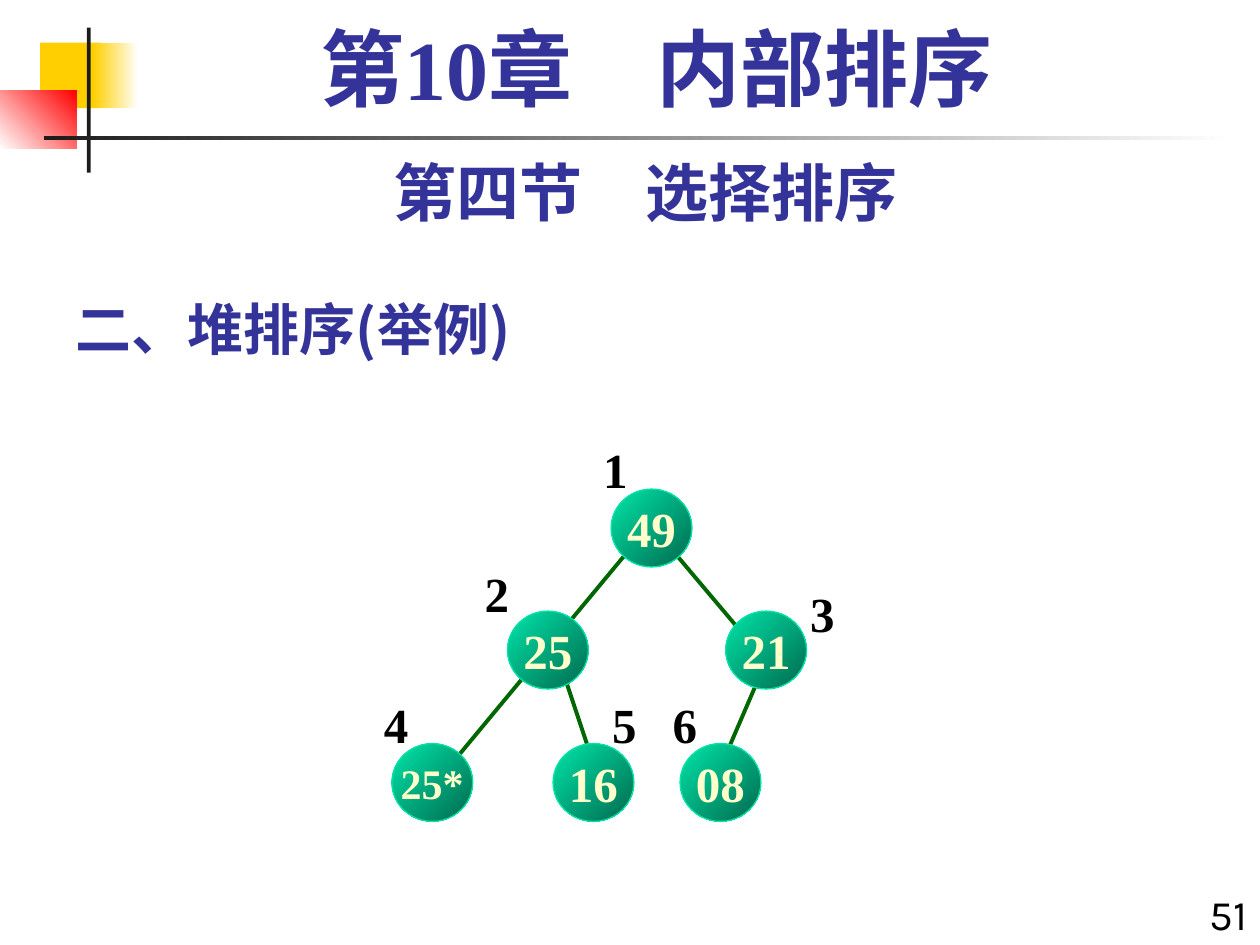
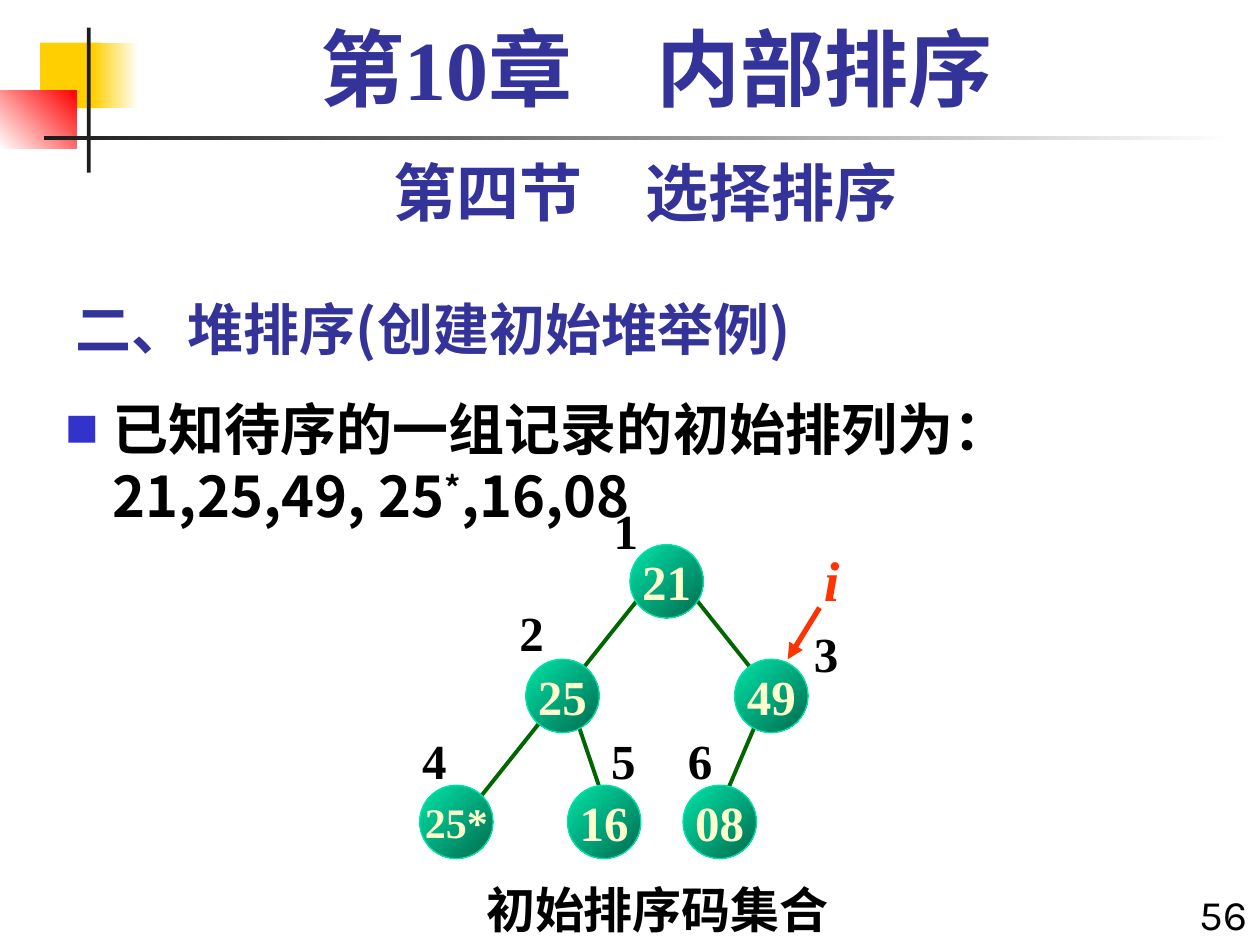
from typing import NamedTuple

from lxml.etree import SubElement
from pptx import Presentation
from pptx.dml.color import RGBColor
from pptx.enum.shapes import MSO_CONNECTOR, MSO_SHAPE
from pptx.enum.text import MSO_ANCHOR, MSO_AUTO_SIZE, PP_ALIGN
from pptx.oxml.ns import qn
from pptx.util import Cm, Pt

# Colours and fonts
BLACK = RGBColor(0x00, 0x00, 0x00)
WHITE = RGBColor(0xFF, 0xFF, 0xFF)
CHARCOAL = RGBColor(0x1C, 0x1C, 0x1C)
YELLOW = RGBColor(0xFF, 0xCF, 0x01)
RED = RGBColor(0xFF, 0x00, 0x00)
INDIGO = RGBColor(0x33, 0x33, 0x99)
BULLET_BLUE = RGBColor(0x33, 0x33, 0xCC)
NODE_LIGHT = RGBColor(0x00, 0xE4, 0xA8)
NODE_DARK = RGBColor(0x00, 0x6A, 0x4E)
NODE_TEXT = RGBColor(0xFF, 0xFF, 0xCC)
EDGE_GREEN = RGBColor(0x00, 0x66, 0x00)
MARKER_RED = RGBColor(0xFF, 0x33, 0x00)
SERIF = "Times New Roman"
SANS = "Karla"
CHINESE = "Noto Sans CJK SC"

TITLE_AND_BODY_LAYOUT, TITLE_ONLY_LAYOUT = 1, 5


class Tree(NamedTuple):
    """Binary tree; every position is in cm from the tree's own corner."""
    corner: tuple
    node_size: tuple
    nodes: list   # key, left, top
    labels: list  # left, top, in order of index
    edges: list   # start x, start y, end x, end y


EXAMPLE_TREE = Tree(
    (7.49, 8.74), (1.63, 1.57),
    [("49", 4.83, 1.12), ("25", 2.74, 3.58), ("21", 7.14, 3.58),
     ("25*", 0.41, 6.25), ("16", 3.66, 6.25), ("08", 6.22, 6.25)],
    [(4.42, 0), (2.03, 2.49), (8.59, 2.9), (0, 5.13), (4.6, 5.13), (5.82, 5.13)],
    [(7.82, 4.9, 7.14, 6.48), (5.97, 2.24, 7.85, 4.47),
     (3.89, 4.9, 4.34, 6.25), (5.28, 2.24, 1.57, 6.71)])

INITIAL_TREE = Tree(
    (8.26, 9.96), (1.48, 1.48),
    [("21", 4.44, 1.02), ("25", 2.34, 3.33), ("49", 6.55, 3.33),
     ("25*", 0.2, 5.87), ("16", 3.18, 5.87), ("08", 5.51, 5.87)],
    [(3.86, 0), (1.96, 2.06), (7.9, 2.49), (0, 4.65), (3.81, 4.65), (5.36, 4.65)],
    [(6.99, 4.6, 6.35, 6.1), (3.38, 4.6, 3.81, 5.87),
     (5.72, 2.06, 7.42, 4.19), (4.65, 2.06, 1.27, 6.3)])


def format_runs(paragraph, size, color, font_name, bold=True, italic=False):
    for run in paragraph.runs:
        font = run.font
        font.size, font.bold, font.italic = Pt(size), bold, italic
        font.color.rgb = color
        font.name = font_name
        SubElement(run._r.get_or_add_rPr(), qn("a:ea"), typeface=CHINESE)


def place(shape, left, top, width, height):
    shape.left, shape.top = Cm(left), Cm(top)
    shape.width, shape.height = Cm(width), Cm(height)


def add_text(slide, text, box, size, color, font_name, align=PP_ALIGN.LEFT,
             wrap=False, bold=True, italic=False):
    text_frame = slide.shapes.add_textbox(*map(Cm, box)).text_frame
    text_frame.word_wrap = wrap
    text_frame.text = text
    paragraph = text_frame.paragraphs[0]
    paragraph.alignment = align
    format_runs(paragraph, size, color, font_name, bold, italic)
    return paragraph


def fill_gradient(shape, start, end, angle):
    shape.fill.gradient()
    shape.fill.gradient_angle = angle
    for stop, color in zip(shape.fill.gradient_stops, (start, end)):
        stop.color.rgb = color


def add_line(slide, corner, ends, color, width, arrow=False):
    left, top = corner
    x1, y1, x2, y2 = ends
    line = slide.shapes.add_connector(
        MSO_CONNECTOR.STRAIGHT, Cm(left + x1), Cm(top + y1), Cm(left + x2), Cm(top + y2))
    line.line.color.rgb = color
    line.line.width = Pt(width)
    if arrow:
        SubElement(line.line._get_or_add_ln(), qn("a:tailEnd"), type="triangle")
    SubElement(line.element.spPr, qn("a:effectLst"))


def decorate_master(presentation, slide):
    """Draw the corner ornament and rules, then move them to the master."""
    ornaments = [
        ((0.81, 0.86, 1.22, 1.32), YELLOW, YELLOW, 0),
        ((1.88, 0.86, 0.91, 1.32), YELLOW, WHITE, 0),
        ((0, 1.83, 1.55, 1.17), WHITE, RED, 45),
        ((1.75, 0.56, 0.08, 2.92), CHARCOAL, CHARCOAL, 0),
        ((0.89, 2.74, 24, 0.08), CHARCOAL, WHITE, 0),
    ]
    master_tree = presentation.slide_master.shapes.element
    for number, (box, start, end, angle) in enumerate(ornaments, 101):
        shape = slide.shapes.add_shape(MSO_SHAPE.RECTANGLE, *map(Cm, box))
        shape.shadow.inherit = False
        shape.line.fill.background()
        if start == end:
            shape.fill.solid()
            shape.fill.fore_color.rgb = start
        else:
            fill_gradient(shape, start, end, angle)
        shape.element.nvSpPr.cNvPr.set("id", str(number))
        master_tree.append(shape.element)


def add_headings(slide, heading, page_number):
    # Section heading in the title placeholder
    title = slide.shapes.title
    place(title, 1.27, 5.51, 15.88, 1.9)
    text_frame = title.text_frame
    text_frame.text = heading
    text_frame.auto_size = MSO_AUTO_SIZE.NONE
    text_frame.vertical_anchor = MSO_ANCHOR.BOTTOM
    text_frame.paragraphs[0].alignment = PP_ALIGN.LEFT
    format_runs(text_frame.paragraphs[0], 32, INDIGO, CHINESE)

    # Page number, section name and chapter name
    add_text(slide, page_number, (23.7, 17.78, 1.7, 1.5), 24, BLACK, SANS,
             PP_ALIGN.RIGHT, wrap=True, bold=False)
    add_text(slide, "第四节　选择排序", (1.27, 2.97, 23.5, 1.78), 36, INDIGO, SANS,
             PP_ALIGN.CENTER, wrap=True)
    chapter = add_text(slide, "第10章　内部排序", (1.7, 0.43, 23.06, 2.11), 48, INDIGO,
                       SERIF, PP_ALIGN.CENTER, wrap=True)
    chapter.line_spacing = 0.9


def fill_body(slide, box, pieces):
    """Write one bulleted paragraph; pieces are (text, is_superscript)."""
    body = slide.placeholders[1]
    place(body, *box)
    body.text_frame.auto_size = MSO_AUTO_SIZE.NONE
    paragraph = body.text_frame.paragraphs[0]
    paragraph.space_before = Pt(0)
    properties = paragraph._p.get_or_add_pPr()
    properties.set("marL", str(Cm(0.95)))
    properties.set("indent", str(-Cm(0.95)))
    bullet_color = SubElement(properties, qn("a:buClr"))
    SubElement(bullet_color, qn("a:srgbClr"), val=str(BULLET_BLUE))
    SubElement(properties, qn("a:buSzPct"), val="60000")
    SubElement(properties, qn("a:buFont"), typeface=CHINESE)
    SubElement(properties, qn("a:buChar"), char="■")
    for text, is_superscript in pieces:
        run = paragraph.add_run()
        run.text = text
        if is_superscript:
            run._r.get_or_add_rPr().set("baseline", "30000")
    format_runs(paragraph, 32, BLACK, CHINESE)


def add_node(slide, key, box):
    node = slide.shapes.add_shape(MSO_SHAPE.OVAL, *map(Cm, box))
    node.shadow.inherit = False
    fill_gradient(node, NODE_LIGHT, NODE_DARK, 315)
    node.line.color.rgb = NODE_LIGHT
    node.line.width = Pt(0.75)
    text_frame = node.text_frame
    text_frame.word_wrap = False
    text_frame.vertical_anchor = MSO_ANCHOR.MIDDLE
    text_frame.text = key
    text_frame.paragraphs[0].alignment = PP_ALIGN.CENTER
    format_runs(text_frame.paragraphs[0], 24 if len(key) > 2 else 28, NODE_TEXT, SERIF)


def add_tree(slide, tree):
    left, top = tree.corner
    for ends in tree.edges:
        add_line(slide, tree.corner, ends, EDGE_GREEN, 2.25)
    for key, x, y in tree.nodes:
        add_node(slide, key, (left + x, top + y, *tree.node_size))
    for index, (x, y) in enumerate(tree.labels, 1):
        add_text(slide, str(index), (left + x, top + y, 0.99, 1.45), 28, BLACK, SERIF)


def add_index_marker(slide, corner):
    """Red letter i with an arrow to the node being examined."""
    left, top = corner
    add_line(slide, corner, (0.64, 1.38, 0, 2.42), MARKER_RED, 3, arrow=True)
    add_text(slide, "i", (left + 0.48, top, 0.81, 1.63), 32, MARKER_RED, SERIF, italic=True)


def build_example_slide(slide):
    add_headings(slide, "二、堆排序(举例)", "51")
    add_tree(slide, EXAMPLE_TREE)


def build_initial_heap_slide(slide):
    add_headings(slide, "二、堆排序(创建初始堆举例)", "56")
    fill_body(slide, (1.07, 7.82, 24.33, 11.23),
              [("已知待序的一组记录的初始排列为：21,25,49, 25", False),
               ("*", True), (",16,08", False)])
    add_tree(slide, INITIAL_TREE)
    add_index_marker(slide, (15.88, 10.87))
    add_text(slide, "初始排序码集合", (9.55, 17.6, 7.42, 1.45), 28, BLACK, SERIF)


def main():
    presentation = Presentation()
    presentation.slide_width, presentation.slide_height = Cm(25.4), Cm(19.05)
    layouts = presentation.slide_layouts
    example_slide = presentation.slides.add_slide(layouts[TITLE_ONLY_LAYOUT])
    decorate_master(presentation, example_slide)
    build_example_slide(example_slide)
    build_initial_heap_slide(presentation.slides.add_slide(layouts[TITLE_AND_BODY_LAYOUT]))
    presentation.save("out.pptx")


if __name__ == "__main__":
    main()
